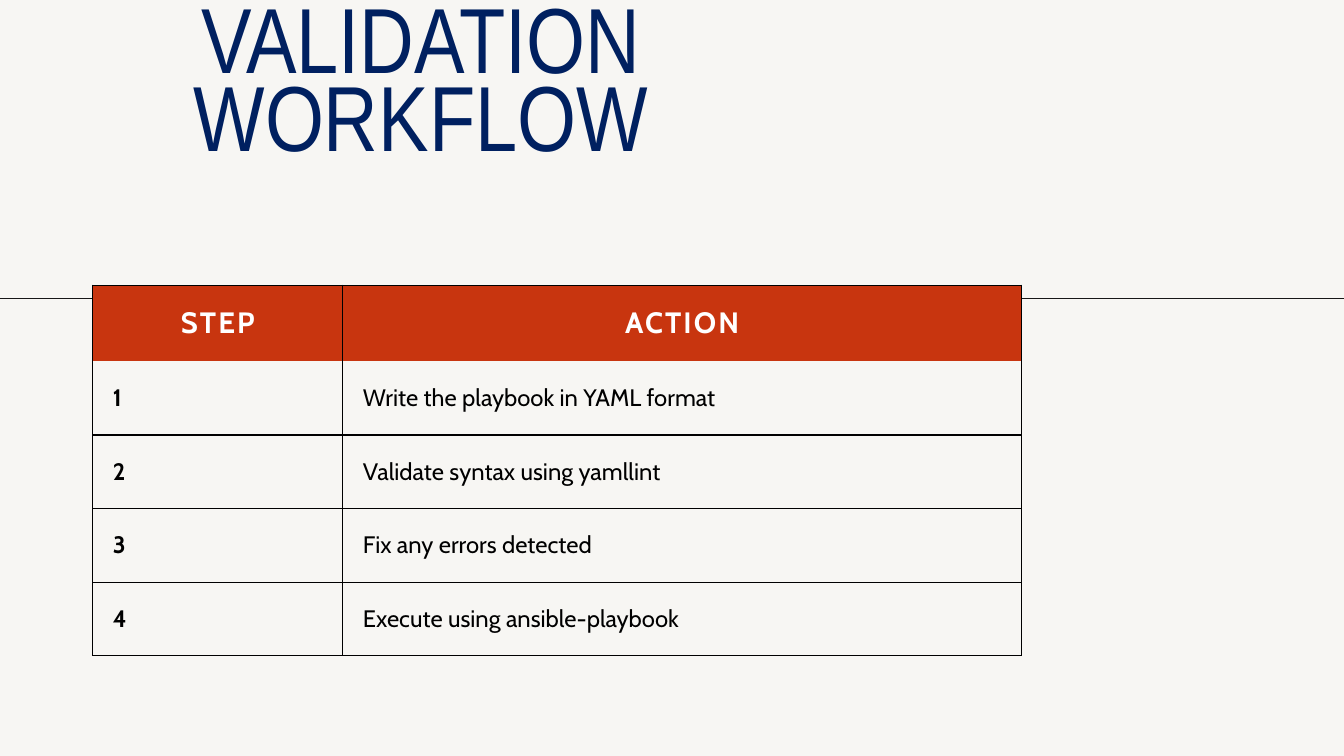
from lxml import etree
from pptx import Presentation
from pptx.dml.color import RGBColor
from pptx.enum.shapes import MSO_CONNECTOR
from pptx.enum.text import MSO_ANCHOR, MSO_AUTO_SIZE, PP_ALIGN
from pptx.oxml.ns import qn
from pptx.util import Inches, Pt

CENTER, LEFT = PP_ALIGN.CENTER, PP_ALIGN.LEFT
MIDDLE = MSO_ANCHOR.MIDDLE
NO_AUTOFIT = MSO_AUTO_SIZE.NONE
STRAIGHT = MSO_CONNECTOR.STRAIGHT

WIDTH, HEIGHT = 13.33, 7.5
COLORS = {
    "paper": "F7F6F3",
    "rule": "171717",
    "title": "002060",
    "header": "C8350F",
    "white": "FFFFFF",
    "black": "000000",
}
STEPS = [
    ("STEP", "ACTION"),
    ("1", "Write the playbook in YAML format"),
    ("2", "Validate syntax using yamllint"),
    ("3", "Fix any errors detected"),
    ("4", "Execute using ansible-playbook"),
]


def rgb(name):
    return RGBColor.from_string(COLORS[name])


class SlideBuilder:
    title_font = "Arial Narrow"
    body_font = "Cabin"
    cell_margin = Inches(0.2)

    def __init__(self, prs):
        self.s = prs.slides.add_slide(prs.slide_layouts[5])
        fill = self.s.background.fill
        fill.solid()
        fill.fore_color.rgb = rgb("paper")

    def style(self, p, font, size, color, bold=False, spacing=0):
        for r in p.runs:
            r.font.name = font
            r.font.size = Pt(size)
            r.font.bold = bold
            r.font.color.rgb = rgb(color)
            r.font._element.set("spc", str(int(spacing * 100)))

    def rule(self, y):
        """Draw a thin line across the whole slide."""
        line = self.s.shapes.add_connector(
            STRAIGHT, 0, Inches(y), Inches(WIDTH), Inches(y))
        line.line.color.rgb = rgb("rule")
        line.line.width = Pt(0.75)
        etree.SubElement(line._element.spPr, qn("a:effectLst"))

    def title(self, text, x, y, w, h):
        sp = self.s.shapes.title
        sp.left, sp.top, sp.width, sp.height = map(Inches, (x, y, w, h))
        tf = sp.text_frame
        tf.text = text
        tf.word_wrap = True
        tf.auto_size = NO_AUTOFIT
        tf.vertical_anchor = MIDDLE
        p = tf.paragraphs[0]
        p.alignment = CENTER
        p.line_spacing = 0.7
        self.style(p, self.title_font, 66, "title")

    def borders(self, cell, hidden):
        """Line every side of a cell except the hidden one."""
        tcPr = cell._tc.get_or_add_tcPr()
        for i, side in enumerate("LRTB"):
            ln = etree.Element(qn(f"a:ln{side}"), w=str(Pt(1)))
            if side == hidden:
                etree.SubElement(ln, qn("a:noFill"))
            else:
                solid = etree.SubElement(ln, qn("a:solidFill"))
                etree.SubElement(solid, qn("a:srgbClr"), val=COLORS["black"])
            tcPr.insert(i, ln)

    def cell(self, cell, text, row, col):
        is_header = row == 0
        cell.text = text
        cell.vertical_anchor = MIDDLE
        cell.margin_left = cell.margin_right = self.cell_margin
        cell.margin_top = cell.margin_bottom = self.cell_margin
        p = cell.text_frame.paragraphs[0]
        p.alignment = CENTER if is_header else LEFT
        if is_header:
            cell.fill.solid()
            cell.fill.fore_color.rgb = rgb("header")
            self.style(p, self.body_font, 21, "white", True, 1.5)
        else:
            cell.fill.background()
            self.style(p, self.body_font, 17, "black", col == 0)
        self.borders(cell, {0: "B", 1: "T"}.get(row))

    def table(self, rows, x, y, col_widths, row_height):
        table = self.s.shapes.add_table(
            len(rows), len(col_widths), Inches(x), Inches(y),
            Inches(sum(col_widths)), Inches(row_height * len(rows))).table
        table.first_row = table.horz_banding = False
        for column, width in zip(table.columns, col_widths):
            column.width = Inches(width)
        for i, row in enumerate(rows):
            for j, text in enumerate(row):
                self.cell(table.cell(i, j), text, i, j)


def main():
    prs = Presentation()
    prs.slide_width, prs.slide_height = Inches(WIDTH), Inches(HEIGHT)
    slide = SlideBuilder(prs)
    slide.rule(2.96)
    slide.title("VALIDATION WORKFLOW", 0.35, 0.02, 7.65, 1.73)
    slide.table(STEPS, 0.92, 2.83, (2.48, 6.73), 0.73)
    prs.save("out.pptx")


if __name__ == "__main__":
    main()
